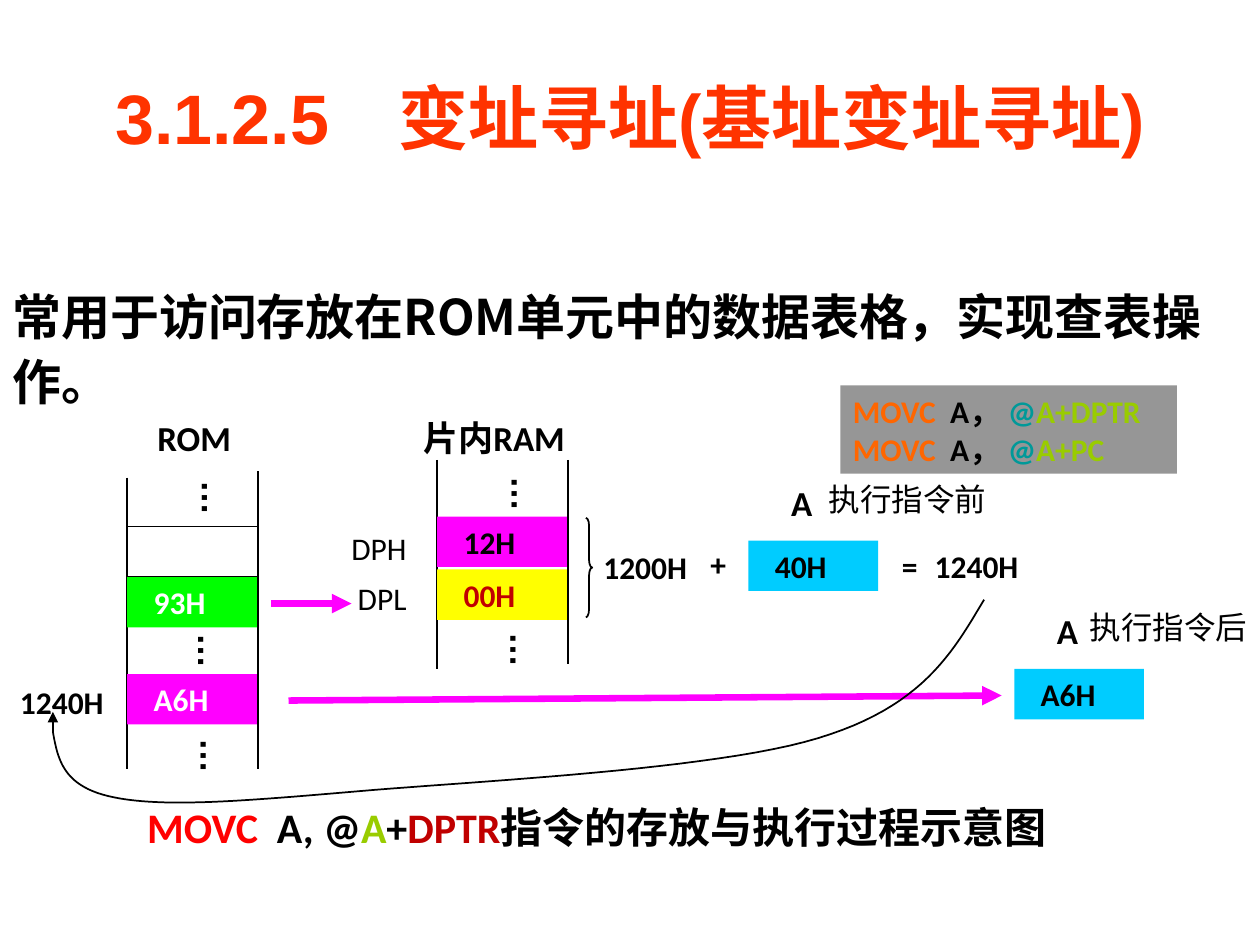
from dataclasses import dataclass

from lxml.etree import SubElement
from pptx import Presentation
from pptx.dml.color import RGBColor
from pptx.enum.shapes import MSO_CONNECTOR as CONN, MSO_SHAPE as SHAPE
from pptx.enum.text import MSO_ANCHOR as ANCHOR, MSO_AUTO_SIZE as FIT, PP_ALIGN as ALIGN
from pptx.oxml.ns import qn
from pptx.util import Pt

PX = 9144


@dataclass(frozen=True)
class Theme:
    """Hold the fonts, type sizes and colours."""
    latin: str = "Calibri"
    heading: str = "Arial"
    cjk: str = "Noto Sans CJK SC"
    title: int = 40
    body: int = 28
    caption: int = 24
    label: int = 20
    cell: int = 18
    black: str = "000000"
    white: str = "FFFFFF"
    heading_red: str = "FF3300"
    red: str = "FF0000"
    dark_red: str = "C00000"
    orange: str = "FF6600"
    teal: str = "009999"
    olive: str = "99CC00"
    gray: str = "969696"
    magenta: str = "FF00FF"
    yellow: str = "FFFF00"
    green: str = "00FF00"
    cyan: str = "00CCFF"


T = Theme()


def px(*values):
    """Turn px lengths into EMU."""
    return [round(v * PX) for v in values]


def rgb(code):
    """Return a colour object for a hex code."""
    return RGBColor.from_string(code)


def style(p, size, color=T.black, bold=True, font=T.latin):
    """Set the font shared by all runs of a paragraph."""
    f = p.font
    f.name, f.size, f.bold = font, Pt(size), bold
    f.color.rgb = rgb(color)


def add_runs(p, parts):
    """Add coloured runs to a paragraph."""
    for text, color in parts:
        r = p.add_run()
        r.text = text
        r.font.color.rgb = rgb(color)


def add_label(s, box, text, size=T.cell, bold=True, font=T.latin, wrap=False):
    """Add a plain one-paragraph text box."""
    tf = s.shapes.add_textbox(*px(*box)).text_frame
    tf.word_wrap = wrap
    tf.auto_size = FIT.SHAPE_TO_FIT_TEXT
    p = tf.paragraphs[0]
    p.text = text
    style(p, size, bold=bold, font=font)
    return tf


def add_block(s, box, fill):
    """Add a filled rectangle without outline or shadow."""
    sp = s.shapes.add_shape(SHAPE.RECTANGLE, *px(*box))
    sp.shadow.inherit = False
    sp.fill.solid()
    sp.fill.fore_color.rgb = rgb(fill)
    sp.line.fill.background()
    return sp


def add_cell(s, x, y, text, fill, color=T.black):
    """Add one byte cell with its value."""
    tf = add_block(s, (x, y, 103, 40), fill).text_frame
    tf.margin_left = px(21)[0]
    p = tf.paragraphs[0]
    p.text, p.alignment = text, ALIGN.LEFT
    style(p, T.cell, color)


def add_line(s, start, end, width=1, color=T.black, arrow=False):
    """Add a straight line or arrow."""
    c = s.shapes.add_connector(CONN.STRAIGHT, *px(*start, *end))
    c.line.width, c.line.color.rgb = Pt(width), rgb(color)
    if arrow:
        SubElement(c.line._get_or_add_ln(), qn("a:tailEnd"), type="triangle")
    SubElement(c._element.spPr, qn("a:effectLst"))


def add_dots(s, x, y):
    """Add a vertical ellipsis."""
    tf = add_label(s, (x, y, 53, 38), "…", T.label, font=T.heading)
    tf.margin_left, tf.margin_right, tf.margin_top, tf.margin_bottom = px(5, 5, 10, 10)
    tf._txBody.bodyPr.set("vert", "eaVert")


def add_title(s, box):
    """Format the title placeholder."""
    sp = s.shapes.title
    sp.left, sp.top, sp.width, sp.height = px(*box)
    tf = sp.text_frame
    tf.vertical_anchor = ANCHOR.MIDDLE
    p = tf.paragraphs[0]
    p.text, p.alignment = "3.1.2.5　变址寻址(基址变址寻址)", ALIGN.CENTER
    style(p, T.title, T.heading_red, font=T.heading)


def add_intro(s, box):
    """Add the introductory sentence."""
    tf = add_label(s, box, "常用于访问存放在ROM单元中的数据表格，实现查表操作。",
                   T.body, font=T.cjk, wrap=True)
    tf.paragraphs[0].line_spacing = 1.1


def add_syntax(s, box):
    """Add the panel with the two instruction forms."""
    tf = add_block(s, box, T.gray).text_frame
    for i, source in enumerate(("A+DPTR", "A+PC")):
        p = tf.add_paragraph() if i else tf.paragraphs[0]
        p.alignment = ALIGN.LEFT
        style(p, T.cell)
        add_runs(p, [("MOVC", T.orange), ("  A， ", T.black),
                     ("@", T.teal), (source, T.olive)])


def add_memory(s, box, caption, caption_box, left_span, rules, cells, dots):
    """Add a memory column whose parts are offset from its top left corner."""
    x, y, w, h = box
    cx, cy, cw, ch = caption_box
    add_label(s, (x + cx, y + cy, cw, ch), caption, T.label)
    add_line(s, (x, y + left_span[0]), (x, y + left_span[1]))
    add_line(s, (x + w, y), (x + w, y + h))
    for dy in rules:
        add_line(s, (x, y + dy), (x + w, y + dy), 0.75)
    for dy, *cell in cells:
        add_cell(s, x, y + dy, *cell)
    for dx, dy in dots:
        add_dots(s, x + dx, y + dy)


def add_register(s, x, y, value, note, gap):
    """Add accumulator A with its value and moment."""
    add_cell(s, x, y, value, T.cyan)
    add_label(s, (x + 24, y - 52, 37, 44), "A", T.label)
    add_label(s, (x + gap, y - 53, 145, 40), note, bold=False)


def add_sum(s, x, y):
    """Add the address sum and the brace before it."""
    brace = s.shapes.add_shape(SHAPE.RIGHT_BRACE, *px(x, y, 5, 79))
    brace.shadow.inherit = False
    brace.fill.background()
    brace.line.width, brace.line.color.rgb = Pt(1), rgb(T.black)
    brace.adjustments[0] = 1.25
    for dx, dy, w, text in ((4, 19, 88, "1200H"), (89, 17, 32, "+"),
                            (241, 18, 32, "="), (267, 18, 88, "1240H")):
        add_label(s, (x + dx, y + dy, w, 40), text)


def bezier(a, b, c, d, steps=24):
    """Return the points of a cubic curve after its start."""
    ts = [i / steps for i in range(1, steps + 1)]
    return [tuple((1 - t) ** 3 * a[k] + 3 * (1 - t) ** 2 * t * b[k]
                  + 3 * (1 - t) * t ** 2 * c[k] + t ** 3 * d[k] for k in (0, 1))
            for t in ts]


def add_address_path(s, x, y):
    """Add the curve from the sum back to the ROM address."""
    knots = [(x + dx, y + dy) for dx, dy in (
        (739, 0), (714, 42), (690, 85), (607, 110), (525, 135), (336, 144),
        (243, 152), (150, 160), (89, 165), (49, 157), (8, 149), (4, 127), (0, 105))]
    points = [pt for i in range(0, 12, 3) for pt in bezier(*knots[i:i + 4])]
    fb = s.shapes.build_freeform(*px(*knots[0]))
    fb.add_line_segments([px(*pt) for pt in points], close=False)
    sp = fb.convert_to_shape()
    sp.shadow.inherit = False
    sp.fill.background()
    sp.line.width, sp.line.color.rgb = Pt(1), rgb(T.black)
    add_line(s, (x, y + 105), (x, y + 89), arrow=True)


def add_caption(s, box):
    """Add the caption of the diagram."""
    tf = add_label(s, box, "", T.caption)
    add_runs(tf.paragraphs[0], [
        ("MOVC", T.red), ("  A, @", T.black), ("A", T.olive), ("+", T.black),
        ("DPTR", T.dark_red), ("指令的存放与执行过程示意图", T.black)])


def main():
    """Build the slide and save it."""
    prs = Presentation()
    prs.slide_width, prs.slide_height = px(1000, 750)
    s = prs.slides.add_slide(prs.slide_layouts[5])
    add_title(s, (50, 30, 900, 125))
    add_intro(s, (0, 218, 1000, 113))
    add_syntax(s, (667, 306, 267, 70))
    add_memory(s, (101, 374, 104, 236), "ROM", (14, -48, 79, 44), (5, 236), (44, 84),
               ((84, "93H", T.green, T.white), (161, "A6H", T.magenta, T.white)),
               ((39, -3), (36, 119), (38, 202)))
    add_memory(s, (347, 365, 104, 162), "片内RAM", (-21, -39, 139, 44), (0, 166), (),
               ((45, "12H", T.magenta), (87, "00H", T.yellow, T.dark_red)),
               ((39, 3), (38, 127)))
    add_label(s, (269, 415, 74, 40), "DPH", bold=False)
    add_label(s, (274, 455, 69, 40), "DPL", bold=False)
    add_label(s, (6, 537, 88, 40), "1240H")
    add_sum(s, 465, 411)
    add_register(s, 594, 429, "40H", "执行指令前", 54)
    add_register(s, 805, 531, "A6H", "执行指令后", 50)
    add_line(s, (215, 479), (279, 479), 3.75, T.magenta, True)
    add_line(s, (229, 556), (795, 552), 3.75, T.magenta, True)
    add_address_path(s, 42, 476)
    add_caption(s, (107, 631, 742, 50))
    prs.save("out.pptx")


if __name__ == "__main__":
    main()
